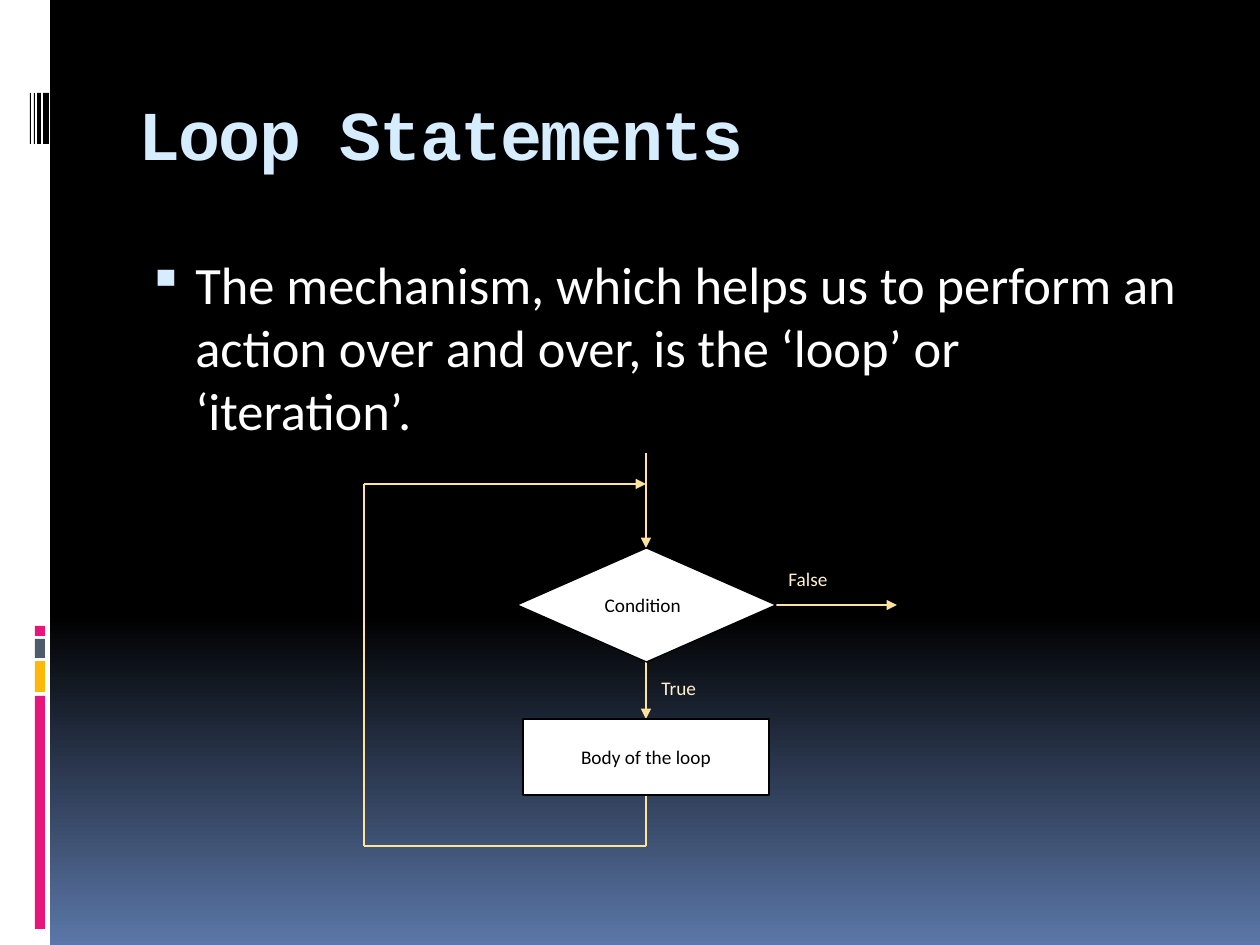
from dataclasses import dataclass, field
from typing import Any

import pptx
import pptx.dml.color
import pptx.enum.shapes
import pptx.enum.text
import pptx.oxml.ns
import pptx.util
from lxml import etree

SHAPES = pptx.enum.shapes.MSO_SHAPE
ALIGN = pptx.enum.text.PP_ALIGN
ANCHOR = pptx.enum.text.MSO_ANCHOR
EMU_PER_PIXEL = pptx.util.Inches(1) / 126


@dataclass(frozen=True)
class Theme:
    black: str = "000000"
    white: str = "FFFFFF"
    horizon: str = "5B77A8"
    pink: str = "EA157A"
    amber: str = "FEB80A"
    slate: str = "4E5B6F"
    ice: str = "D6ECFF"
    flow: str = "FFE39D"
    label: str = "FFF1CE"
    heading_font: str = "Courier New"
    text_font: str = "Calibri"
    title_size: int = 40
    body_size: int = 30
    chart_size: int = 11
    line_width: float = 0.75


THEME = Theme()


@dataclass(frozen=True)
class Box:
    left: int
    top: int
    width: int
    height: int


@dataclass(frozen=True)
class Bar:
    box: Box
    color: str


@dataclass(frozen=True)
class Text:
    words: str
    size: int
    color: str
    font: str = THEME.text_font
    bold: bool = False
    frame: dict[str, Any] = field(default_factory=dict)
    paragraph: dict[str, Any] = field(default_factory=dict)


@dataclass(frozen=True)
class Step:
    kind: Any
    box: Box
    text: Text


@dataclass(frozen=True)
class Line:
    start: tuple[int, int]
    end: tuple[int, int]
    arrow: bool = False


def px(value: float) -> int:
    return round(value * EMU_PER_PIXEL)


def rgb(value: str) -> pptx.dml.color.RGBColor:
    return pptx.dml.color.RGBColor.from_string(value)


def place(box: Box) -> tuple[int, int, int, int]:
    return px(box.left), px(box.top), px(box.width), px(box.height)


def apply_format(target: Any, values: dict[str, Any]) -> None:
    for name, value in values.items():
        setattr(target, name, value)


def add_element(parent: Any, tag: str, **attributes: str) -> Any:
    return etree.SubElement(parent, pptx.oxml.ns.qn(tag), attributes)


def write_text(shape: Any, text: Text) -> Any:
    frame = shape.text_frame
    apply_format(frame, {"word_wrap": True, **text.frame})
    paragraph = frame.paragraphs[0]
    apply_format(paragraph, text.paragraph)
    run = paragraph.add_run()
    run.text = text.words
    apply_format(run.font, {"name": text.font, "size": pptx.util.Pt(text.size), "bold": text.bold})
    run.font.color.rgb = rgb(text.color)
    return paragraph


def add_text(shapes: Any, box: Box, text: Text) -> Any:
    return write_text(shapes.add_textbox(*place(box)), text)


def add_filled(shapes: Any, kind: Any, box: Box, color: str) -> Any:
    shape = shapes.add_shape(kind, *place(box))
    shape.shadow.inherit = False
    shape.fill.solid()
    shape.fill.fore_color.rgb = rgb(color)
    shape.line.fill.background()
    return shape


def add_step(shapes: Any, step: Step) -> None:
    shape = add_filled(shapes, step.kind, step.box, THEME.white)
    shape.line.color.rgb = rgb(THEME.black)
    shape.line.width = pptx.util.Pt(THEME.line_width)
    write_text(shape, step.text)


def add_line(shapes: Any, line: Line) -> None:
    connector = shapes.add_connector(
        pptx.enum.shapes.MSO_CONNECTOR.STRAIGHT, *map(px, line.start + line.end)
    )
    connector.line.color.rgb = rgb(THEME.flow)
    connector.line.width = pptx.util.Pt(THEME.line_width)
    properties = connector._element.spPr
    if line.arrow:
        add_element(properties.find(pptx.oxml.ns.qn("a:ln")), "a:tailEnd", type="triangle")
    add_element(properties, "a:effectLst")


def add_bullet(paragraph: Any) -> None:
    properties = paragraph._p.get_or_add_pPr()
    properties.set("marL", str(px(57)))
    properties.set("indent", str(px(-48)))
    color = add_element(properties, "a:buClr")
    add_element(color, "a:srgbClr", val=THEME.ice)
    add_element(properties, "a:buSzPct", val="95000")
    add_element(properties, "a:buChar", char="▪")


def paint_background(slide: Any) -> None:
    fill = slide.background.fill
    fill.gradient()
    fill.gradient_angle = 270
    for stop, position, color in zip(fill.gradient_stops, (0.65, 1), (THEME.black, THEME.horizon)):
        stop.position = position
        stop.color.rgb = rgb(color)


AXIS, LOOP_LEFT, LOOP_TOP, LOOP_BOTTOM = 646, 364, 484, 846
AFTER = {"space_after": pptx.util.Pt(10)}
CENTERED = {"alignment": ALIGN.CENTER, **AFTER}
MIDDLE = {"vertical_anchor": ANCHOR.MIDDLE}

BARS = [
    Bar(Box(0, 0, 50, 945), THEME.white),
    *(Bar(Box(35, top, 10, height), color) for top, height, color in (
        (696, 233, THEME.pink), (661, 31, THEME.amber), (639, 19, THEME.slate), (626, 10, THEME.pink))),
    *(Bar(Box(left, 93, width, 51), THEME.black) for left, width in ((43, 6), (37, 4), (34, 1), (30, 1))),
]
STEPS = [
    Step(SHAPES.FLOWCHART_DECISION, Box(517, 548, 259, 114),
         Text("Condition", THEME.chart_size, THEME.black,
              frame={**MIDDLE, "margin_left": px(5)}, paragraph=CENTERED)),
    Step(SHAPES.FLOWCHART_PROCESS, Box(523, 719, 246, 76),
         Text("Body of the loop", THEME.chart_size, THEME.black, frame=MIDDLE, paragraph=CENTERED)),
]
LINES = [
    Line((AXIS, 453), (AXIS, 548), True),
    Line((AXIS, 662), (AXIS, 719), True),
    Line((LOOP_LEFT, LOOP_TOP), (AXIS, LOOP_TOP), True),
    Line((768, 605), (897, 605), True),
    Line((AXIS, 796), (AXIS, LOOP_BOTTOM)),
    Line((AXIS, LOOP_BOTTOM), (LOOP_LEFT, LOOP_BOTTOM)),
    Line((LOOP_LEFT, LOOP_BOTTOM), (LOOP_LEFT, LOOP_TOP)),
]
LABELS = {"False": Box(776, 561, 108, 38), "True": Box(649, 670, 108, 38)}

presentation = pptx.Presentation()
presentation.slide_width, presentation.slide_height = px(1260), px(945)
slide = presentation.slides.add_slide(presentation.slide_layouts[6])
paint_background(slide)
for bar in BARS:
    add_filled(slide.shapes, SHAPES.RECTANGLE, bar.box, bar.color)

title = add_text(slide.shapes, Box(126, 70, 1071, 126), Text(
    "Loop Statements", THEME.title_size, THEME.ice, THEME.heading_font, True, MIDDLE))
title.runs[0].font._element.set("spc", "-100")
add_bullet(add_text(slide.shapes, Box(126, 246, 1071, 630), Text(
    "The mechanism, which helps us to perform an action over and over, is the ‘loop’ or ‘iteration’.",
    THEME.body_size, THEME.white, paragraph={"space_before": pptx.util.Pt(7)})))

flowchart = slide.shapes.add_group_shape().shapes
for line in LINES:
    add_line(flowchart, line)
for step in STEPS:
    add_step(flowchart, step)
for words, box in LABELS.items():
    add_text(flowchart, box, Text(words, THEME.chart_size, THEME.label, paragraph=AFTER))

presentation.save("out.pptx")
